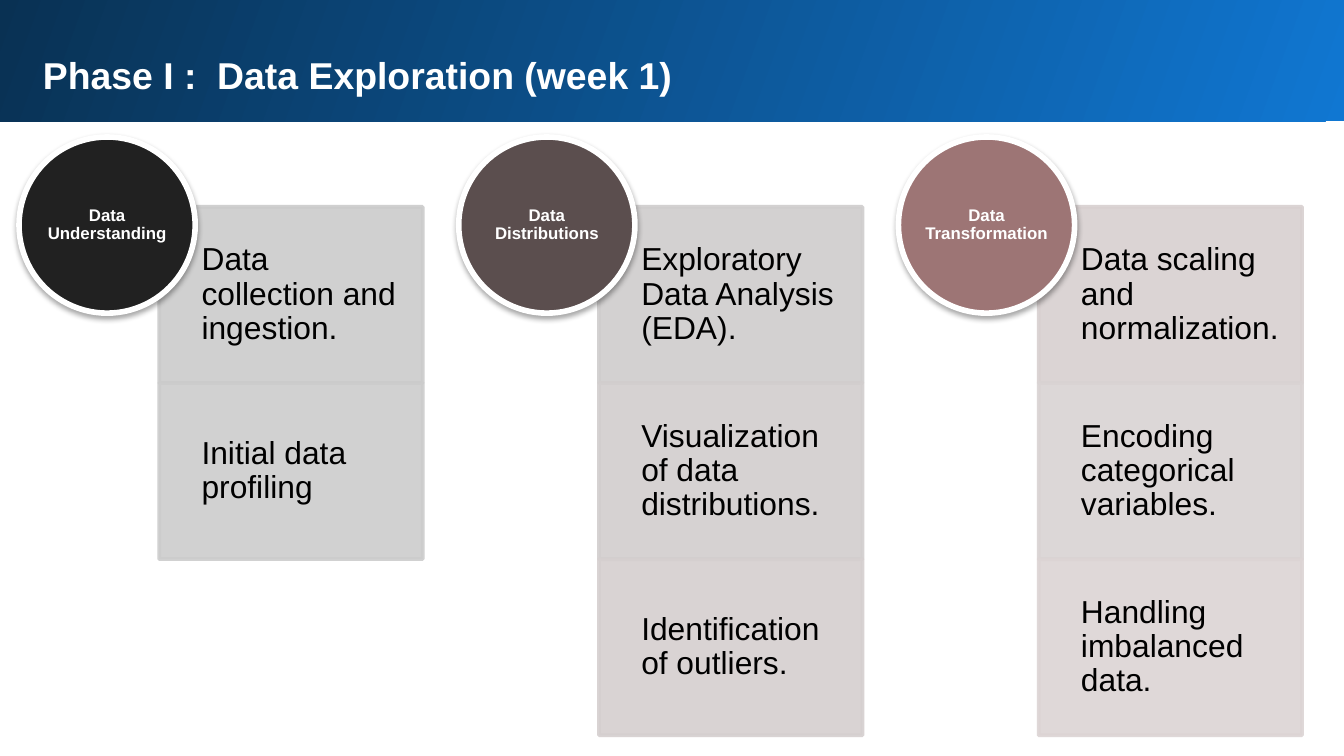
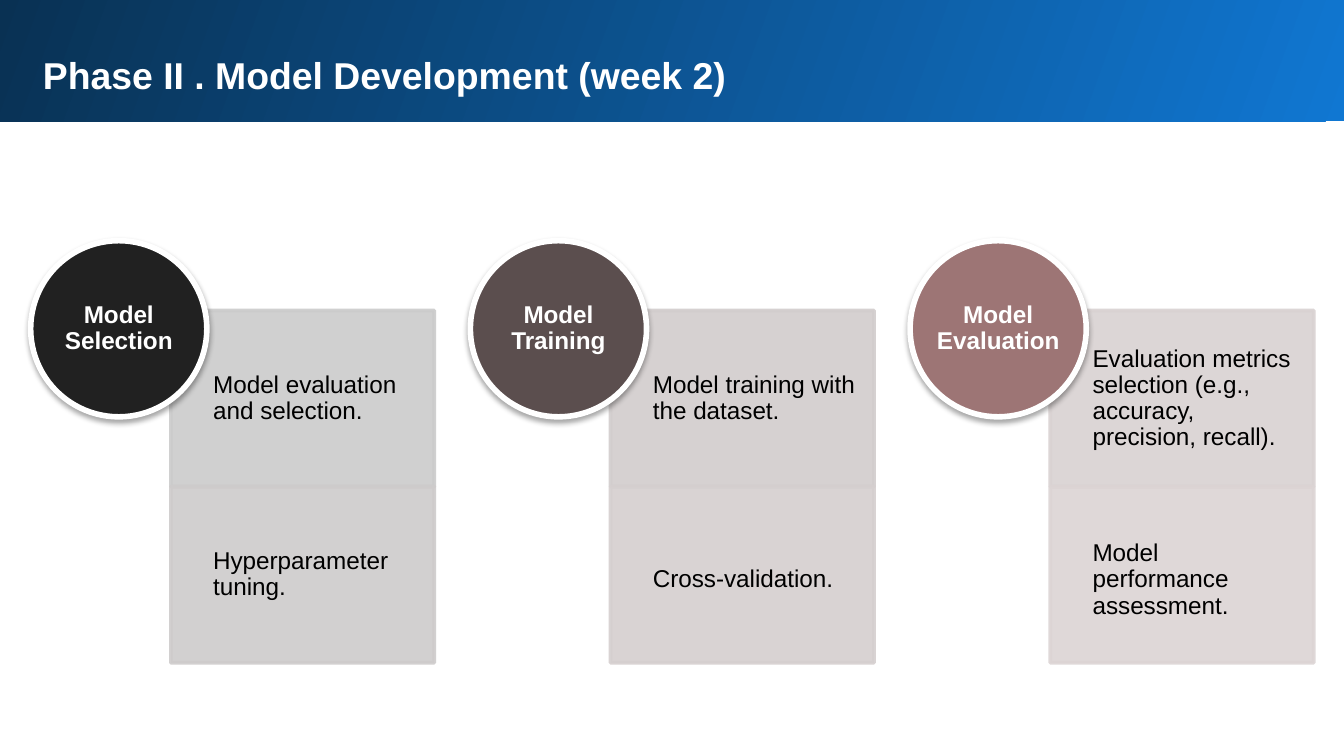
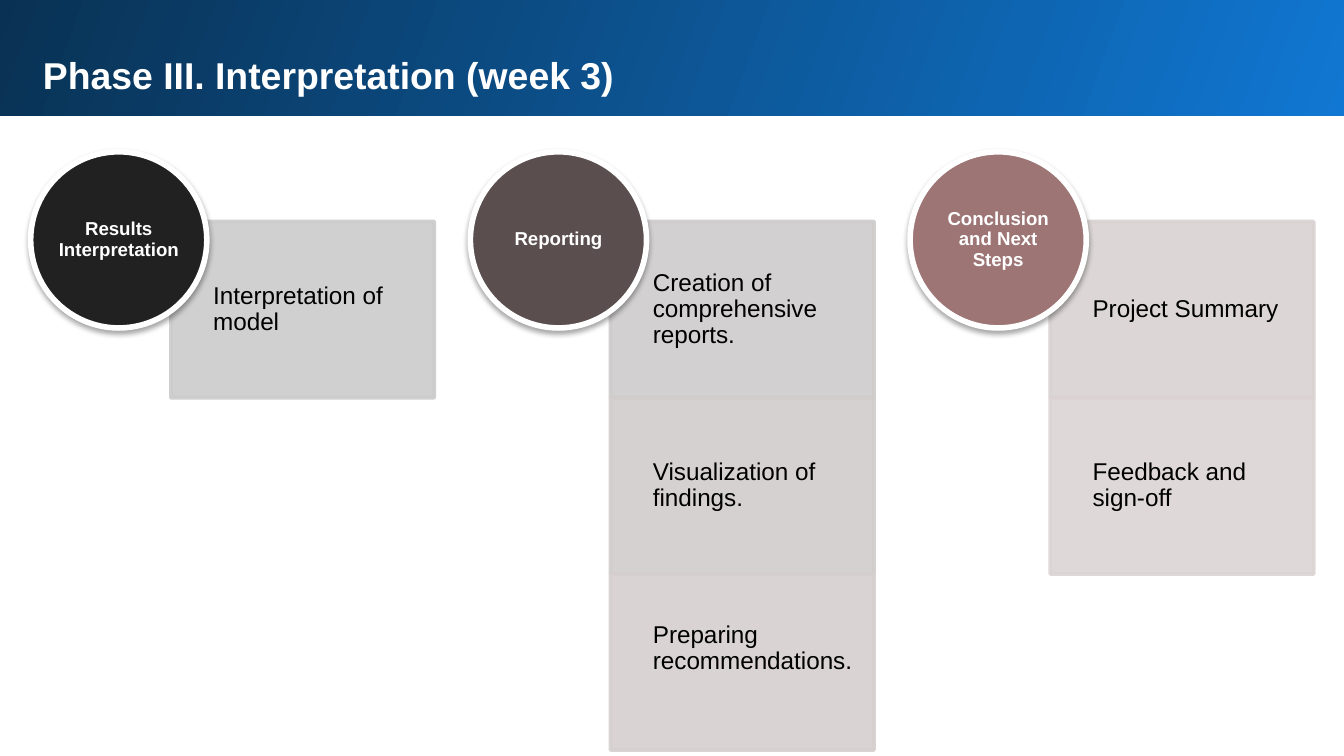
from dataclasses import dataclass

from lxml.etree import SubElement
from pptx import Presentation
from pptx.dml.color import RGBColor
from pptx.enum.shapes import MSO_SHAPE
from pptx.enum.text import MSO_ANCHOR, MSO_AUTO_SIZE, PP_ALIGN
from pptx.oxml.ns import qn
from pptx.util import Cm, Pt

FONT = "Arial"
WHITE = RGBColor(0xFF, 0xFF, 0xFF)
BLACK = RGBColor(0x00, 0x00, 0x00)
BAND_LIGHT = RGBColor(0x10, 0x77, 0xD2)
BAND_DARK = RGBColor(0x09, 0x31, 0x53)
CIRCLE_COLORS = (
    RGBColor(0x21, 0x21, 0x21),
    RGBColor(0x5B, 0x4E, 0x4E),
    RGBColor(0x9D, 0x75, 0x75),
)
SIX_TINTS = (
    RGBColor(0xCB, 0xCB, 0xCB),
    RGBColor(0xCE, 0xCB, 0xCB),
    RGBColor(0xD2, 0xCD, 0xCD),
    RGBColor(0xD5, 0xCF, 0xCF),
    RGBColor(0xD9, 0xD2, 0xD2),
    RGBColor(0xDC, 0xD4, 0xD4),
)
EIGHT_TINTS = (
    RGBColor(0xCB, 0xCB, 0xCB),
    RGBColor(0xCC, 0xCC, 0xCC),
    RGBColor(0xCF, 0xCD, 0xCD),
    RGBColor(0xD2, 0xCE, 0xCE),
    RGBColor(0xD5, 0xCF, 0xCF),
    RGBColor(0xD8, 0xD0, 0xD0),
    RGBColor(0xD9, 0xD3, 0xD3),
    RGBColor(0xDC, 0xD4, 0xD4),
)

# Column geometry in centimetres
COLUMN_PITCH = 8.31
CIRCLE_SIZE = 3.33
CELL_WIDTH = 4.98
CELL_HEIGHT = 3.33
CELL_OFFSET_X = 2.65
CELL_OFFSET_Y = 1.32
CELL_INDENT = 0.8


@dataclass
class Phase:
    title: str
    left: float
    top: float
    circle_size: int
    cell_size: int
    cell_inset: float
    tints: tuple
    columns: tuple
    band_top: float = -0.05


@dataclass
class Step:
    text: str
    shift: float = 0  # vertical move of the text, in centimetres


PHASES = (
    Phase(
        "Phase I :  Data Exploration (week 1)", 0.36, 2.59, 9, 17, 0.33, EIGHT_TINTS,
        (
            ("Data Understanding", (
                Step("Data collection and ingestion."),
                Step("Initial data profiling"))),
            ("Data Distributions", (
                Step("Exploratory Data Analysis (EDA)."),
                Step("Visualization of data distributions."),
                Step("Identification of outliers."))),
            ("Data Transformation", (
                Step("Data scaling and normalization."),
                Step("Encoding categorical variables."),
                Step("Handling imbalanced data."))),
        ),
    ),
    Phase(
        "Phase II . Model Development (week 2)", 0.58, 4.55, 13, 13, 0.25, SIX_TINTS,
        (
            ("Model Selection", (
                Step("Model evaluation and selection."),
                Step("Hyperparameter tuning."))),
            ("Model Training", (
                Step("Model training with the dataset."),
                Step("Cross-validation.", 0.1))),
            ("Model Evaluation", (
                Step("Evaluation metrics selection (e.g., accuracy, precision, recall)."),
                Step("Model performance assessment.", 0.1))),
        ),
    ),
    Phase(
        "Phase III. Interpretation (week 3)", 0.58, 2.87, 10, 13, 0.25, SIX_TINTS,
        (
            ("Results Interpretation", (
                Step("Interpretation of model"),)),
            ("Reporting", (
                Step("Creation of comprehensive reports."),
                Step("Visualization of findings."),
                Step("Preparing recommendations.", -0.25))),
            ("Conclusion and Next Steps", (
                Step("Project Summary"),
                Step("Feedback and sign-off"))),
        ),
        band_top=-0.15,
    ),
)


def write_text(shape, text, size, color, insets, bold=False,
               alignment=PP_ALIGN.LEFT, anchor=MSO_ANCHOR.MIDDLE, line_spacing=0.9):
    """Fill a shape with one paragraph; insets are left, top, right, bottom in cm."""
    frame = shape.text_frame
    frame.text = text
    frame.word_wrap = True
    frame.auto_size = MSO_AUTO_SIZE.NONE
    frame.vertical_anchor = anchor
    (frame.margin_left, frame.margin_top,
     frame.margin_right, frame.margin_bottom) = [Cm(inset) for inset in insets]
    paragraph = frame.paragraphs[0]
    paragraph.alignment = alignment
    paragraph.line_spacing = line_spacing
    for run in paragraph.runs:
        run.font.name = FONT
        run.font.size = Pt(size)
        run.font.bold = bold
        run.font.color.rgb = color


def add_filled_shape(slide, kind, left, top, width, height, fill, line, line_width):
    shape = slide.shapes.add_shape(kind, Cm(left), Cm(top), Cm(width), Cm(height))
    shape.shadow.inherit = False
    shape.fill.solid()
    shape.fill.fore_color.rgb = fill
    shape.line.color.rgb = line
    shape.line.width = Pt(line_width)
    return shape


def set_opacity(shape, percent):
    """Make both the fill and the outline of a shape partly transparent."""
    for color in shape._element.spPr.iter(qn("a:srgbClr")):
        SubElement(color, qn("a:alpha"), val=str(percent * 1000))


def add_drop_shadow(shape):
    effects = shape._element.spPr.find(qn("a:effectLst"))
    shadow = SubElement(effects, qn("a:outerShdw"), blurRad=str(Pt(3)),
                        dist=str(Pt(1.8)), dir="5400000", rotWithShape="0")
    color = SubElement(shadow, qn("a:srgbClr"), val=str(BLACK))
    SubElement(color, qn("a:alpha"), val="35000")


def add_band(slide, top):
    """Add the gradient header band behind everything else."""
    band = slide.shapes.add_shape(
        MSO_SHAPE.RECTANGLE, Cm(-0.05), Cm(top), Cm(25.53), Cm(2.34))
    band.shadow.inherit = False
    band.line.fill.background()
    band.fill.gradient()
    band.fill.gradient_angle = 160
    for stop, color in zip(band.fill.gradient_stops, (BAND_LIGHT, BAND_DARK)):
        stop.color.rgb = color
    slide.shapes._spTree.insert(2, band._element)


def set_title(slide, text):
    title = slide.shapes.title
    title.left, title.top = Cm(0.56), Cm(0.74)
    title.width, title.height = Cm(23.8), Cm(1.37)
    write_text(title, text, 20, WHITE, (0.25,) * 4, bold=True,
               anchor=MSO_ANCHOR.TOP, line_spacing=1.0)


def add_cell(slide, step, left, top, tint, phase):
    cell = add_filled_shape(slide, MSO_SHAPE.RECTANGLE, left, top,
                            CELL_WIDTH, CELL_HEIGHT, tint, tint, 2)
    set_opacity(cell, 90)
    inset = phase.cell_inset
    insets = (CELL_INDENT, inset + max(0, 2 * step.shift),
              inset, inset + max(0, -2 * step.shift))
    write_text(cell, step.text, phase.cell_size, BLACK, insets)


def add_circle(slide, text, left, top, color, size):
    circle = add_filled_shape(slide, MSO_SHAPE.OVAL, left, top,
                              CIRCLE_SIZE, CIRCLE_SIZE, color, WHITE, 3)
    add_drop_shadow(circle)
    write_text(circle, text, size, WHITE, (0,) * 4, bold=True,
               alignment=PP_ALIGN.CENTER)


def add_phase_slide(presentation, phase):
    slide = presentation.slides.add_slide(presentation.slide_layouts[5])
    add_band(slide, phase.band_top)
    set_title(slide, phase.title)
    tints = iter(phase.tints)
    for column, (heading, steps) in enumerate(phase.columns):
        left = phase.left + column * COLUMN_PITCH
        for row, step in enumerate(steps):
            cell_top = phase.top + CELL_OFFSET_Y + row * CELL_HEIGHT
            add_cell(slide, step, left + CELL_OFFSET_X, cell_top, next(tints), phase)
        add_circle(slide, heading, left, phase.top,
                   CIRCLE_COLORS[column], phase.circle_size)


def main():
    presentation = Presentation()
    presentation.slide_width = Cm(25.4)
    presentation.slide_height = Cm(14.29)
    for phase in PHASES:
        add_phase_slide(presentation, phase)
    presentation.save("out.pptx")


if __name__ == "__main__":
    main()
